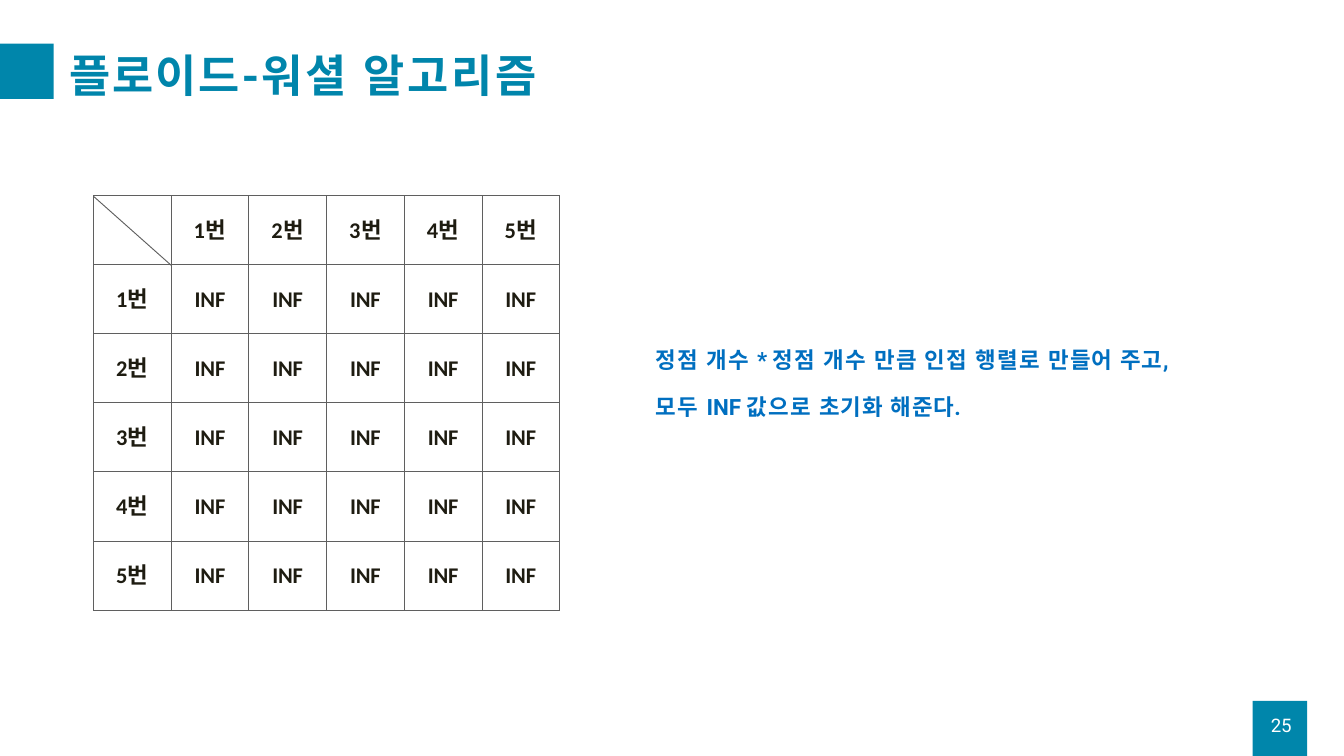
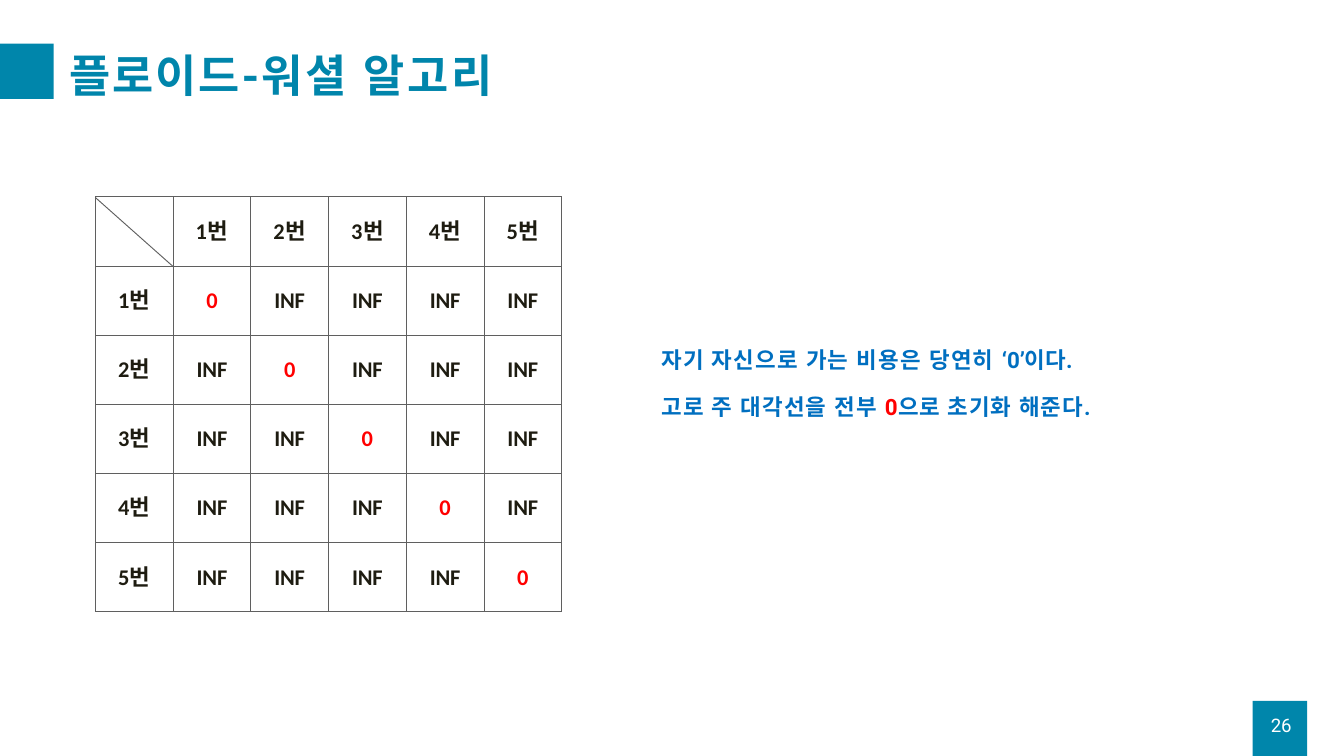
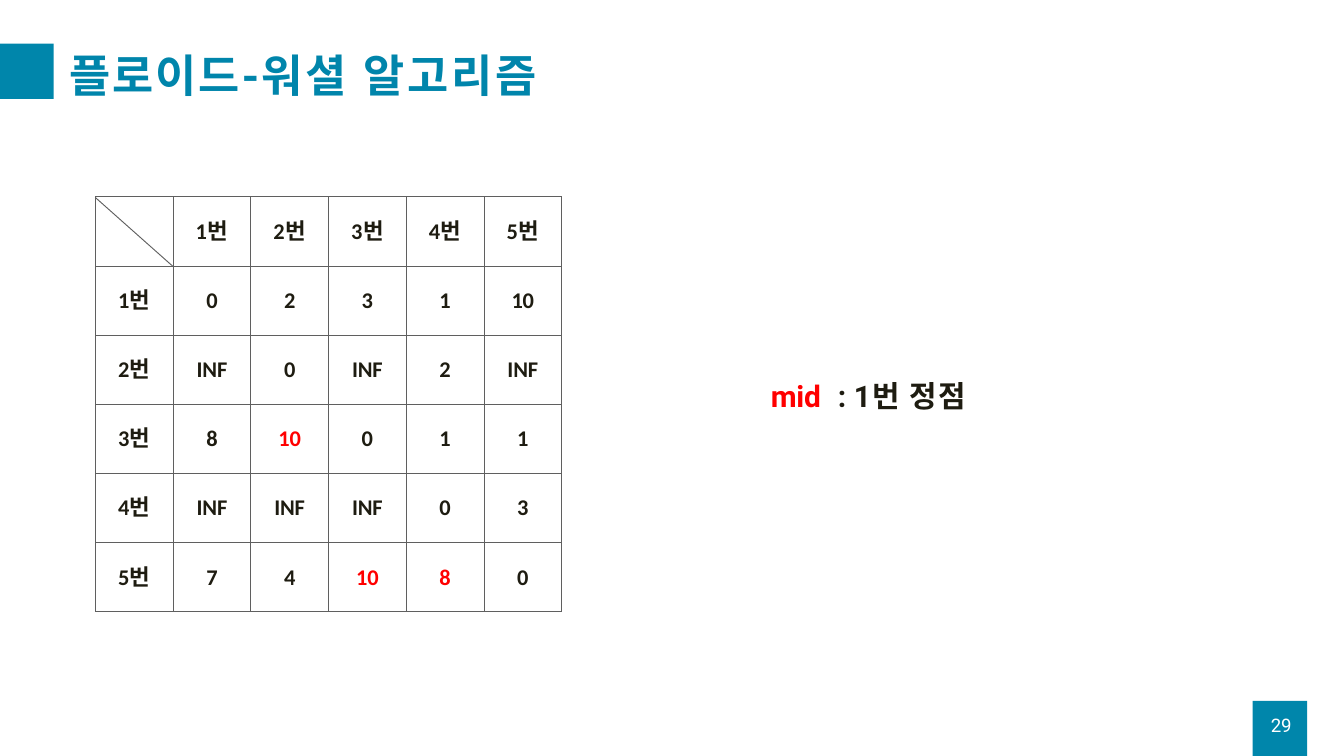
from lxml.etree import SubElement
from pptx import Presentation
from pptx.dml.color import RGBColor
from pptx.enum.shapes import MSO_CONNECTOR as Connector, MSO_SHAPE as Preset
from pptx.enum.text import MSO_ANCHOR as Anchor, MSO_AUTO_SIZE as AutoSize, PP_ALIGN as Align
from pptx.oxml import parse_xml
from pptx.oxml.ns import nsdecls, qn
from pptx.util import Inches, Pt

COLUMNS, ROWS = 20, 11.25
SIZE = 6
BAND, TITLE, NOTE, INK, RED, GRID, WHITE = (
    "0086AB", "0085AB", "006FC0", "1E1C11", "FF0000", "5F5F5F", "FFFFFF")


def color(value):
    return RGBColor.from_string(value)


class Deck:
    heading_font = "Roboto"
    number_font = "Calibri"

    def __init__(self):
        self.presentation = Presentation()
        self.presentation.slide_width = Inches(COLUMNS)
        self.presentation.slide_height = Inches(ROWS)
        self.unit = self.presentation.slide_width / COLUMNS
        self.layout = self.presentation.slide_layouts[5]
        self.slide = None

    def box(self, *cells):
        return [round(cell * self.unit) for cell in cells]

    def band(self, identifier, *cells):
        shape = self.slide.shapes.add_shape(Preset.RECTANGLE, *self.box(*cells))
        shape.shadow.inherit = False
        shape.fill.solid()
        shape.fill.fore_color.rgb = color(BAND)
        shape.line.fill.background()
        shape.element.nvSpPr.cNvPr.set("id", str(identifier))
        self.layout.shapes.element.insert(2, shape.element)

    def add_runs(self, paragraph, runs, size, ink, bold=True, before=None, indent=0.01):
        paragraph.alignment = Align.LEFT
        properties = paragraph._p.get_or_add_pPr()
        properties.set("marL", str(Inches(indent)))
        properties.set("indent", "0")
        if before is not None:
            paragraph.space_before = Pt(before)
        for text, spacing, *special in runs:
            run = paragraph.add_run()
            run.text = text
            run.font.size, run.font.bold = Pt(size), bold
            run.font.name = self.heading_font
            run.font.color.rgb = color(special[0] if special else ink)
            run_properties = run._r.get_or_add_rPr()
            run_properties.set("spc", str(round(spacing * 100)))
            SubElement(run_properties, qn("a:ea"), typeface=self.heading_font)

    def frame(self, shape, anchor=Anchor.TOP, top=0.01):
        text_frame = shape.text_frame
        text_frame.word_wrap = True
        text_frame.auto_size = AutoSize.SHAPE_TO_FIT_TEXT
        text_frame.vertical_anchor = anchor
        text_frame.margin_left = text_frame.margin_right = text_frame.margin_bottom = 0
        text_frame.margin_top = Inches(top)
        return text_frame

    def start(self, last_word, number):
        first = self.slide is None
        self.slide = self.presentation.slides.add_slide(self.layout)
        if first:
            self.band(20, 18.64, 10.43, 0.81, 0.82)
            self.band(21, -0.01, 0.65, 0.81, 0.82)
        title = self.slide.shapes.title
        title.left, title.top, title.width, title.height = self.box(1.02, 0.69, 18.25, 0.82)
        runs = [("플로이드-", 2.1), ("워셜 ", 3.1), (last_word, 2.9)]
        self.add_runs(self.frame(title, Anchor.MIDDLE).paragraphs[0], runs, 48, TITLE, before=1)
        page = self.slide.shapes.add_textbox(*self.box(18.64, 10.68, 0.81, 0.28))
        paragraph = self.frame(page, Anchor.MIDDLE, 0).paragraphs[0]
        self.add_runs(paragraph, [(str(number), -0.2)], 20, WHITE, bold=False, indent=0.04)
        paragraph.alignment = Align.CENTER
        paragraph.line_spacing = Pt(20.1)

    def cell(self, cell, runs):
        cell.margin_left = cell.margin_right = cell.margin_bottom = 0
        cell.margin_top = Inches(0.32)
        cell.fill.background()
        properties = cell._tc.get_or_add_tcPr()
        for index, side in enumerate("LRTB"):
            properties.insert(index, parse_xml(
                f'<a:ln{side} {nsdecls("a")} w="12700"><a:solidFill>'
                f'<a:srgbClr val="{GRID}"/></a:solidFill></a:ln{side}>'))
        if runs:
            paragraph = cell.text_frame.paragraphs[0]
            self.add_runs(paragraph, runs, 24, INK, before=22.9, indent=0)
            paragraph.alignment = Align.CENTER
            paragraph.runs[0].font.name = self.number_font

    def matrix(self, left, top, values, red=()):
        shape = self.slide.shapes.add_table(SIZE, SIZE, *self.box(left, top, 6.94, 6.17))
        table = shape.table
        table.first_row = table.horz_banding = False
        for row in range(SIZE):
            for column in range(SIZE):
                if row and column:
                    value = values[row - 1][column - 1]
                    ink = RED if (row, column) in red else INK
                    runs = [(value, -0.2 if len(value) > 1 else -0.5, ink)]
                elif row or column:
                    runs = [(str(row + column), 0.6), ("번", 0.6)]
                else:
                    runs = []
                self.cell(table.cell(row, column), runs)
        diagonal = self.slide.shapes.add_connector(
            Connector.STRAIGHT, *self.box(left, top + 0.01, left + 1.16, top + 1.04))
        diagonal.line.color.rgb = color(GRID)
        diagonal.line.width = Pt(1)
        SubElement(diagonal.element.spPr, qn("a:effectLst"))

    def note(self, cells, lines, size=24, ink=NOTE, tab=None):
        shape = self.slide.shapes.add_textbox(*self.box(*cells))
        text_frame = self.frame(shape)
        for index, runs in enumerate(lines):
            paragraph = text_frame.add_paragraph() if index else text_frame.paragraphs[0]
            self.add_runs(paragraph, runs, size, ink, before=21.6 if index else 1)
            if tab:
                stops = SubElement(paragraph._p.get_or_add_pPr(), qn("a:tabLst"))
                SubElement(stops, qn("a:tab"), pos=str(Inches(tab)), algn="l")


def main():
    deck = Deck()
    nodes = range(1, SIZE)
    diagonal = {(node, node) for node in nodes}

    deck.start("알고리즘", 25)
    deck.matrix(1.39, 2.91, [["INF"] * 5 for _ in nodes])
    deck.note((9.75, 5.14, 8.06, 1.13), [
        [("정점 개수 ", 1.4), ("* ", 0), ("정점 개수 만큼 인접 행렬로 만들어 ", 1.4), ("주고,", 0.6)],
        [("모두 ", 1.4), ("INF ", 0), ("값으로 ", 1.3), ("초기화 ", 1.2), ("해준다.", 0.6)],
    ])

    deck.start("알고리", 26)
    deck.matrix(1.42, 2.93, [["0" if row == column else "INF" for column in nodes]
                             for row in nodes], diagonal)
    deck.note((9.83, 5.14, 6.8, 1.13), [
        [("자기 ", 1.4), ("자신으로 ", 1.3), ("가는 비용은 당연히 ", 1.4), ("‘0’이다.", -0.1)],
        [("고로 주 ", 1.4), ("대각선을 ", 1.2), ("전부 ", 1.4), ("0", 0.8, RED),
         ("으로 ", 0.8), ("초기화 ", 1.2), ("해준다.", 1)],
    ])

    deck.start("알고리즘", 29)
    distances = [
        "0 2 3 1 10",
        "INF 0 INF 2 INF",
        "8 10 0 1 1",
        "INF INF INF 0 3",
        "7 4 10 8 0",
    ]
    deck.matrix(1.42, 2.93, [line.split() for line in distances], {(3, 2), (5, 3), (5, 4)})
    deck.note((11.46, 5.61, 4.08, 0.55), [
        [("mid\t", -0.2, RED), (": ", 0), ("1번 ", 1.1), ("정점", 1.6)],
    ], size=32, ink=INK, tab=0.92)

    deck.presentation.save("out.pptx")


if __name__ == "__main__":
    main()
